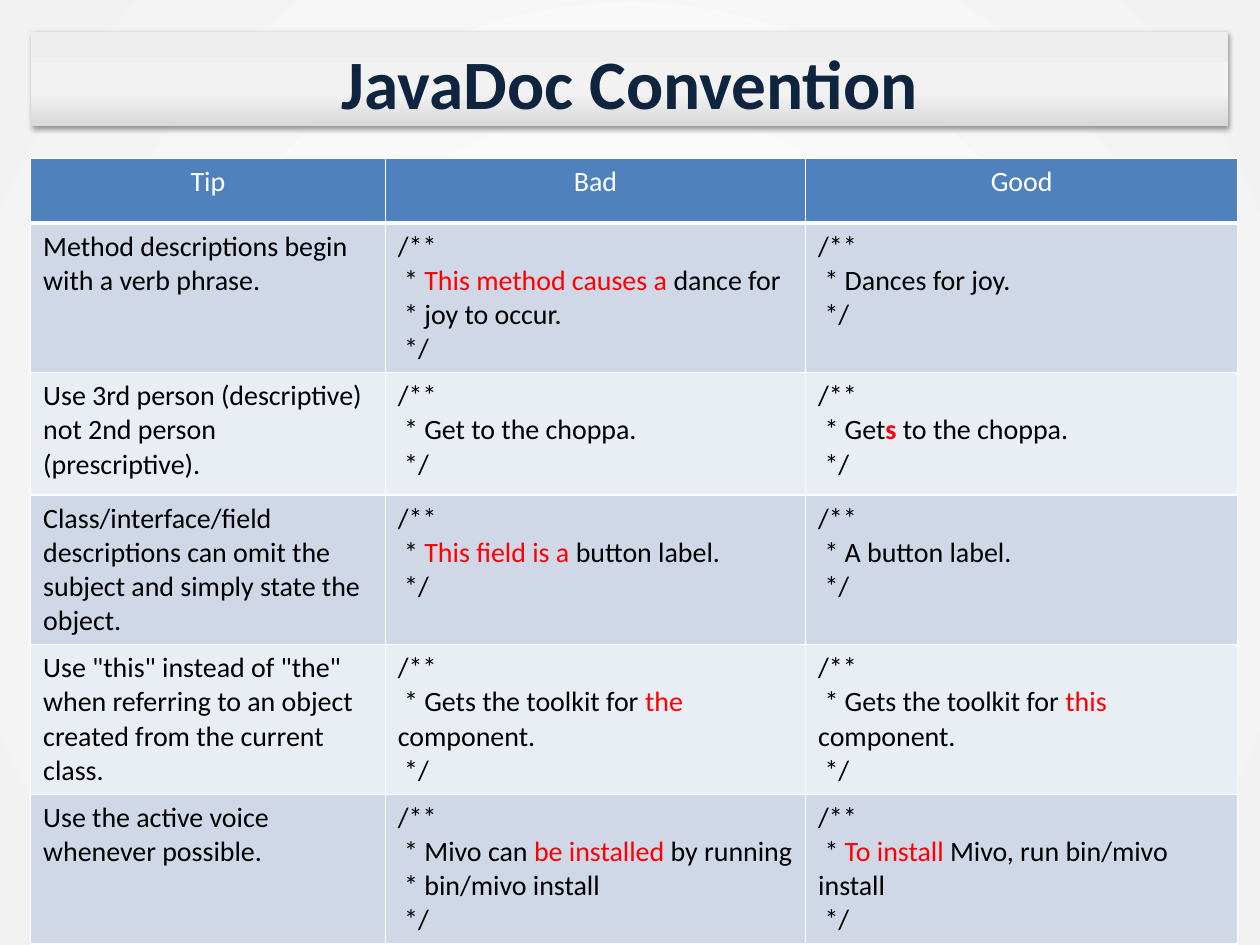
import collections

import lxml.etree
import pptx
import pptx.dml.color
import pptx.enum.shapes
import pptx.enum.text
import pptx.oxml.ns
import pptx.util

Pt = pptx.util.Pt
qn = pptx.oxml.ns.qn
FONT = "Calibri"
BLACK, RED, WHITE, NAVY = "000000", "FF0000", "FFFFFF", "0F243E"
HEADER_BLUE, BAND_DARK, BAND_LIGHT = "4F81BD", "D0D8E8", "E9EDF4"
COLUMN_WIDTHS = [202.7, 240.2, 246.9]
ROW_HEIGHTS = [37, 85, 70, 85, 85, 85]

Mark = collections.namedtuple("Mark", "text bold", defaults=[False])


def comment(*lines):
    """Wrap lines, each a list of runs, in comment delimiters."""
    return [["/**"]] + [[" * "] + line for line in lines] + [[" */"]]


HEADINGS = ["Tip", "Bad", "Good"]
TIPS = [
    ("Method descriptions begin with a verb phrase.",
     comment([Mark("This method causes a "), "dance for"], ["joy to occur."]),
     comment(["Dances for joy."])),
    ("Use 3rd person (descriptive) not 2nd person (prescriptive).",
     comment(["Get to the choppa."]),
     comment(["Get", Mark("s", True), " to the choppa."])),
    ("Class/interface/field descriptions can omit the subject and simply state the object.",
     comment([Mark("This field is a "), "button label."]),
     comment(["A button label."])),
    ('Use "this" instead of "the" when referring to an object created from the current class.',
     comment(["Gets the toolkit for ", Mark("the"), " component."]),
     comment(["Gets the toolkit for ", Mark("this"), " component."])),
    ("Use the active voice whenever possible.",
     comment(["Mivo can ", Mark("be installed "), "by running"], ["bin/mivo install"]),
     comment([Mark("To install "), "Mivo, run bin/mivo install"])),
]


def rgb(code):
    """Turn a hex string into a colour."""
    return pptx.dml.color.RGBColor.from_string(code)


def child(parent, tag, **attributes):
    """Append a drawing element with the given attributes."""
    element = lxml.etree.SubElement(parent, qn(tag))
    for key, value in attributes.items():
        element.set(key, str(value))
    return element


def set_gradient(fill, owner, stops):
    """Give a fill gradient stops and return its emptied-of-direction element."""
    fill.gradient()
    gradient = next(owner.iter(qn("a:gradFill")))
    for old in list(gradient):
        gradient.remove(old)
    stop_list = child(gradient, "a:gsLst")
    for percent, code in stops:
        stop = child(stop_list, "a:gs", pos=percent * 1000)
        child(stop, "a:srgbClr", val=code)
    return gradient


def add_run(paragraph, text, size, code, bold=False):
    """Add one formatted run."""
    run = paragraph.add_run()
    run.text = text
    run.font.name = FONT
    run.font.size = Pt(size)
    run.font.bold = bold
    run.font.color.rgb = rgb(code)


def paint_background(slide):
    """Shade the background outward from its centre."""
    gradient = set_gradient(slide.background.fill, slide._element,
                            [(6, WHITE), (100, "F2F2F2")])
    direction = child(gradient, "a:path")
    direction.set("path", "circle")
    child(direction, "a:fillToRect", l=50000, t=50000, r=50000, b=50000)


def add_title_plate(slide):
    """Draw the shaded plate behind the title."""
    plate = slide.shapes.add_shape(
        pptx.enum.shapes.MSO_SHAPE.ROUND_2_DIAG_RECTANGLE, Pt(18), Pt(18), Pt(684), Pt(54))
    plate.adjustments[0] = plate.adjustments[1] = 0
    plate.line.fill.background()
    properties = plate._element.spPr
    gradient = set_gradient(plate.fill, properties,
                            [(0, "D9D9D9"), (35, "F2F2F2"), (100, "EEEEEE")])
    child(gradient, "a:lin", ang=16200000, scaled=0)
    effects = child(properties, "a:effectLst")
    shadow = child(effects, "a:outerShdw", blurRad=Pt(3.1), dist=Pt(1.6),
                   dir=5400000, rotWithShape=0)
    child(child(shadow, "a:srgbClr", val=BLACK), "a:alpha", val=38000)
    slide.shapes._spTree.insert(2, plate._element)


def set_title(slide, text):
    """Place and format the title."""
    title = slide.shapes.title
    title.left, title.top, title.width, title.height = Pt(30), Pt(21.6), Pt(660), Pt(50.4)
    frame = title.text_frame
    frame.auto_size = pptx.enum.text.MSO_AUTO_SIZE.NONE
    frame.vertical_anchor = pptx.enum.text.MSO_ANCHOR.MIDDLE
    frame.paragraphs[0].alignment = pptx.enum.text.PP_ALIGN.CENTER
    add_run(frame.paragraphs[0], text, 39.6, NAVY, True)


def style_cell(cell, code, bottom_width=1):
    """Fill a cell and draw its white borders."""
    properties = cell._tc.get_or_add_tcPr()
    for side in ("L", "R", "T", "B"):
        width = bottom_width if side == "B" else 1
        border = child(properties, f"a:ln{side}", w=Pt(width))
        child(child(border, "a:solidFill"), "a:srgbClr", val=WHITE)
    cell.fill.solid()
    cell.fill.fore_color.rgb = rgb(code)


def write_lines(cell, lines):
    """Write lines of plain and marked runs into a cell."""
    frame = cell.text_frame
    for index, line in enumerate(lines):
        paragraph = frame.add_paragraph() if index else frame.paragraphs[0]
        for part in line:
            if isinstance(part, Mark):
                add_run(paragraph, part.text, 16, RED, part.bold)
            else:
                add_run(paragraph, part, 16, BLACK)


def add_tips_table(slide):
    """Build the table of tips with bad and good examples."""
    table = slide.shapes.add_table(
        len(ROW_HEIGHTS), len(COLUMN_WIDTHS), Pt(17.5), Pt(90.5),
        Pt(sum(COLUMN_WIDTHS)), Pt(sum(ROW_HEIGHTS))).table
    for column, width in zip(table.columns, COLUMN_WIDTHS):
        column.width = Pt(width)
    for row, height in zip(table.rows, ROW_HEIGHTS):
        row.height = Pt(height)
    for cell, heading in zip(table.rows[0].cells, HEADINGS):
        style_cell(cell, HEADER_BLUE, 3)
        paragraph = cell.text_frame.paragraphs[0]
        paragraph.alignment = pptx.enum.text.PP_ALIGN.CENTER
        add_run(paragraph, heading, 16, WHITE)
    for index, (tip, bad, good) in enumerate(TIPS):
        band = BAND_LIGHT if index % 2 else BAND_DARK
        for cell, lines in zip(table.rows[index + 1].cells, ([[tip]], bad, good)):
            style_cell(cell, band)
            write_lines(cell, lines)


def main():
    """Build and save the slide."""
    deck = pptx.Presentation()
    deck.slide_width, deck.slide_height = Pt(720), Pt(540)
    slide = deck.slides.add_slide(deck.slide_layouts[5])
    paint_background(slide)
    add_title_plate(slide)
    set_title(slide, "JavaDoc Convention")
    add_tips_table(slide)
    deck.save("out.pptx")


main()
